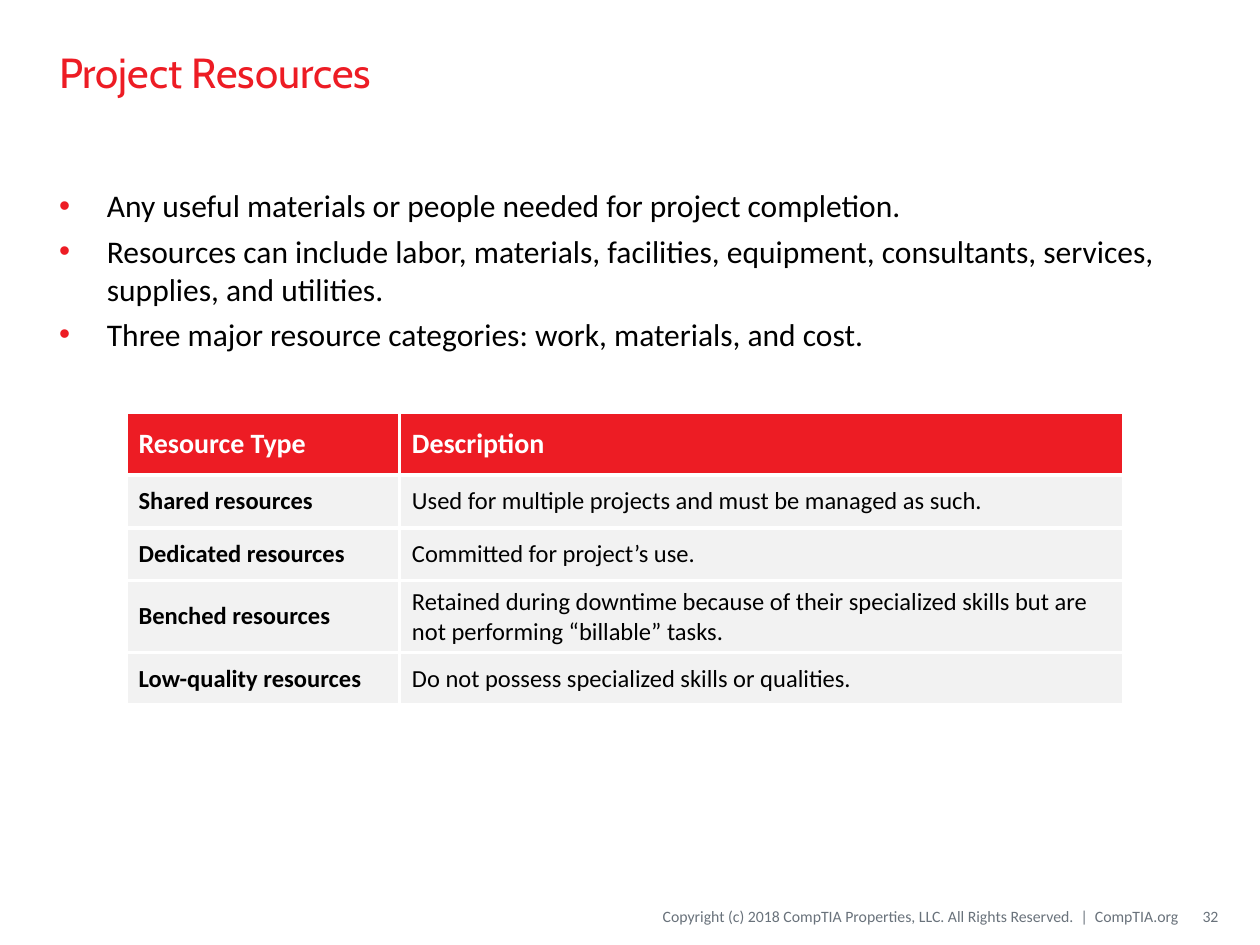
from lxml.etree import SubElement as Sub
from pptx import Presentation
from pptx.dml.color import RGBColor
from pptx.enum.text import MSO_ANCHOR as Anchor, PP_ALIGN as Align
from pptx.oxml.ns import qn
from pptx.util import Inches, Pt

RED = RGBColor(0xED, 0x1C, 0x24)
BLACK = RGBColor(0, 0, 0)
WHITE = RGBColor(0xFF, 0xFF, 0xFF)
PALE = RGBColor(0xF2, 0xF2, 0xF2)
GRAY = RGBColor(0x69, 0x72, 0x7B)

LEFT, WIDE = 0.37, 9.25
FOOT_TOP, FOOT_HIGH = 7.12, 0.3
COLS = (2.17, 5.75)
HEAD_HIGH, ROW_HIGH = 0.5, 0.42

TITLE = "Project Resources"
POINTS = (
    "Any useful materials or people needed for project completion.",
    "Resources can include labor, materials, facilities, equipment, "
    "consultants, services, supplies, and utilities.",
    "Three major resource categories: work, materials, and cost.",
)
ROWS = (
    ("Resource Type", "Description"),
    ("Shared resources",
     "Used for multiple projects and must be managed as such."),
    ("Dedicated resources", "Committed for project’s use."),
    ("Benched resources",
     "Retained during downtime because of their specialized skills "
     "but are not performing “billable” tasks."),
    ("Low-quality resources",
     "Do not possess specialized skills or qualities."),
)
RIGHTS = ("Copyright (c) 2018 CompTIA Properties, LLC. "
          "All Rights Reserved.  |  CompTIA.org")
PAGE = "32"


def style(para, size, color, bold=False, face="Calibri"):
    for run in para.runs:
        font = run.font
        font.name, font.size, font.bold = face, Pt(size), bold
        font.color.rgb = color


def add_title(slide):
    title = slide.shapes.title
    title.left, title.top = Inches(LEFT), Inches(0.11)
    title.width, title.height = Inches(WIDE), Inches(0.92)
    frame = title.text_frame
    frame.text = TITLE
    frame.vertical_anchor = Anchor.MIDDLE
    para = frame.paragraphs[0]
    para.alignment = Align.LEFT
    style(para, 24, RED, face="Cabin")


def add_box(slide, left, top, width, height):
    box = slide.shapes.add_textbox(*map(Inches, (left, top, width, height)))
    box.text_frame.word_wrap = True
    return box.text_frame


def set_bullet(para):
    props = para._p.get_or_add_pPr()
    props.set("marL", str(Inches(0.38)))
    props.set("indent", str(-Inches(0.38)))
    tint = Sub(props, qn("a:buClr"))
    Sub(tint, qn("a:srgbClr"), val=str(RED))
    Sub(props, qn("a:buFont"), typeface="Arial")
    Sub(props, qn("a:buChar"), char="•")


def add_points(slide):
    frame = add_box(slide, LEFT, 1.43, WIDE, 4.84)
    frame.text = "\n".join(POINTS)
    for i, para in enumerate(frame.paragraphs):
        set_bullet(para)
        if i:
            para.space_before = Pt(4.4)
        style(para, 18, BLACK)


def set_edges(cell):
    props = cell._tc.get_or_add_tcPr()
    for side in ("lnL", "lnR", "lnT", "lnB"):
        line = Sub(props, qn("a:" + side), w=str(Pt(2.25)))
        fill = Sub(line, qn("a:solidFill"))
        Sub(fill, qn("a:srgbClr"), val=str(WHITE))


def fill_cell(cell, text, head, bold):
    set_edges(cell)
    cell.fill.solid()
    cell.fill.fore_color.rgb = RED if head else PALE
    cell.vertical_anchor = Anchor.MIDDLE
    cell.text_frame.text = text
    style(cell.text_frame.paragraphs[0], 16 if head else 14,
          WHITE if head else BLACK, bold)


def add_grid(slide):
    high = HEAD_HIGH + ROW_HIGH * (len(ROWS) - 1)
    table = slide.shapes.add_table(
        len(ROWS), len(COLS), Inches(1), Inches(3.27),
        Inches(sum(COLS)), Inches(high)).table
    for col, width in zip(table.columns, COLS):
        col.width = Inches(width)
    for r, texts in enumerate(ROWS):
        table.rows[r].height = Inches(ROW_HIGH if r else HEAD_HIGH)
        for c, text in enumerate(texts):
            fill_cell(table.cell(r, c), text, r == 0, r == 0 or c == 0)


def add_foot(slide, text, left, width, inset):
    frame = add_box(slide, left, FOOT_TOP, width, FOOT_HIGH)
    frame.margin_left, frame.margin_right = Inches(inset), 0
    frame.vertical_anchor = Anchor.MIDDLE
    frame.text = text
    para = frame.paragraphs[0]
    para.alignment = Align.RIGHT
    style(para, 9, GRAY)


def main():
    deck = Presentation()
    deck.slide_width, deck.slide_height = Inches(10), Inches(7.5)
    slide = deck.slides.add_slide(deck.slide_layouts[5])
    add_title(slide)
    add_points(slide)
    add_grid(slide)
    add_foot(slide, RIGHTS, 3.88, 5.47, 0)
    add_foot(slide, PAGE, 9.38, 0.29, 0.1)
    deck.save("out.pptx")


if __name__ == "__main__":
    main()
